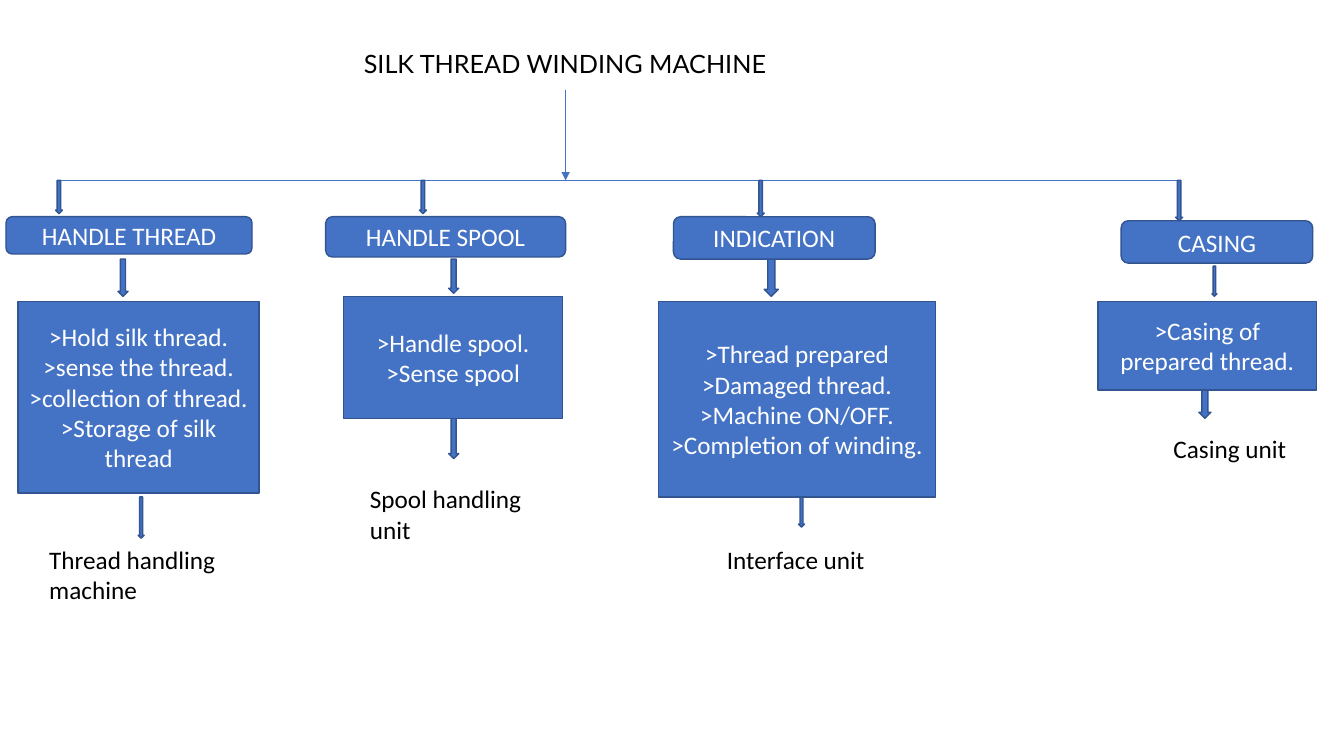
"""Build the silk thread winding machine function tree slide."""
from lxml import etree
from pptx import Presentation
from pptx.dml.color import RGBColor
from pptx.enum.shapes import MSO_CONNECTOR, MSO_SHAPE
from pptx.enum.text import MSO_ANCHOR, PP_ALIGN
from pptx.oxml.ns import qn
from pptx.util import Inches, Pt

BLUE, EDGE, WHITE, BLACK = "4472C4", "325491", "FFFFFF", "000000"
rgb = RGBColor.from_string

prs = Presentation()
prs.slide_width, prs.slide_height = Inches(13.33), Inches(7.5)
s = prs.slides.add_slide(prs.slide_layouts[6])


def write(sp, lines, color, align, font="Calibri"):
    """Fill a shape with one paragraph per line."""
    tf = sp.text_frame
    tf.word_wrap = True
    tf.text = "\n".join(lines)
    for p in tf.paragraphs:
        p.alignment = align
        p.font.name, p.font.size = font, Pt(18)
        p.font.color.rgb = rgb(color)


def add_block(kind, box, lines=()):
    """Add a blue shape with optional centred text."""
    sp = s.shapes.add_shape(kind, *map(Inches, box))
    sp.shadow.inherit = False
    sp.fill.solid()
    sp.fill.fore_color.rgb = rgb(BLUE)
    sp.line.color.rgb = rgb(EDGE)
    sp.line.width = Pt(1)
    if lines:
        sp.text_frame.vertical_anchor = MSO_ANCHOR.MIDDLE
        write(sp, lines, WHITE, PP_ALIGN.CENTER)


title = s.shapes.add_textbox(*map(Inches, (3.51, 0.43, 5.55, 0.4)))
write(title, ["SILK THREAD WINDING MACHINE"], BLACK, PP_ALIGN.LEFT, "Lato")

trunk = (5.61, 0.89, 5.61, 1.79)
branches = [(5.65, 1.79, 0.59, 1.79), (5.65, 1.79, 11.69, 1.79)]
for ends in [trunk, *branches]:
    line = s.shapes.add_connector(MSO_CONNECTOR.STRAIGHT, *map(Inches, ends))
    line.line.color.rgb = rgb(BLUE)
    line.line.width = Pt(0.5)
    if ends == trunk:
        tail = etree.SubElement(line.line._get_or_add_ln(), qn("a:tailEnd"))
        tail.set("type", "triangle")
    etree.SubElement(line._element.spPr, qn("a:effectLst"))

columns = [
    dict(arrows=[(0.55, 1.79, 0.07, 0.33), (1.17, 2.57, 0.1, 0.37), (1.37, 4.93, 0.06, 0.41)],
         head=(0.06, 2.15, 2.44, 0.37), name="HANDLE THREAD",
         body=(0.18, 2.99, 2.39, 1.9),
         tasks=[">Hold silk thread.", ">sense the thread.",
                ">collection of thread.", ">Storage of silk thread"],
         foot=(0.39, 5.35, 2.24, 0.71), unit="Thread handling machine"),
    dict(arrows=[(4.16, 1.79, 0.07, 0.33), (4.45, 2.57, 0.1, 0.34), (4.45, 4.15, 0.1, 0.4)],
         head=(3.23, 2.15, 2.38, 0.4), name="HANDLE SPOOL",
         body=(3.41, 2.94, 2.17, 1.21),
         tasks=[">Handle spool.", ">Sense spool"],
         foot=(3.57, 4.75, 2.08, 0.71), unit="Spool handling unit"),
    dict(arrows=[(7.51, 1.79, 0.07, 0.36), (7.58, 2.57, 0.14, 0.37), (7.92, 4.93, 0.06, 0.3)],
         head=(6.68, 2.15, 2, 0.42), name="INDICATION",
         body=(6.53, 2.99, 2.75, 1.94),
         tasks=[">Thread prepared", ">Damaged thread.",
                ">Machine ON/OFF.", ">Completion of winding."],
         foot=(7.11, 5.35, 1.89, 0.4), unit="Interface unit"),
    dict(arrows=[(11.66, 1.79, 0.07, 0.4), (12.02, 2.64, 0.05, 0.3), (11.89, 3.87, 0.12, 0.28)],
         head=(11.12, 2.19, 1.9, 0.42), name="CASING",
         body=(10.89, 2.99, 2.17, 0.88),
         tasks=[">Casing of prepared thread."],
         foot=(11.54, 4.25, 1.61, 0.4), unit="Casing unit"),
]
for col in columns:
    for arrow in col["arrows"]:
        add_block(MSO_SHAPE.DOWN_ARROW, arrow)
    add_block(MSO_SHAPE.ROUNDED_RECTANGLE, col["head"], [col["name"]])
    add_block(MSO_SHAPE.RECTANGLE, col["body"], col["tasks"])
    unit = s.shapes.add_textbox(*map(Inches, col["foot"]))
    write(unit, [col["unit"]], BLACK, PP_ALIGN.LEFT)

prs.save("out.pptx")
